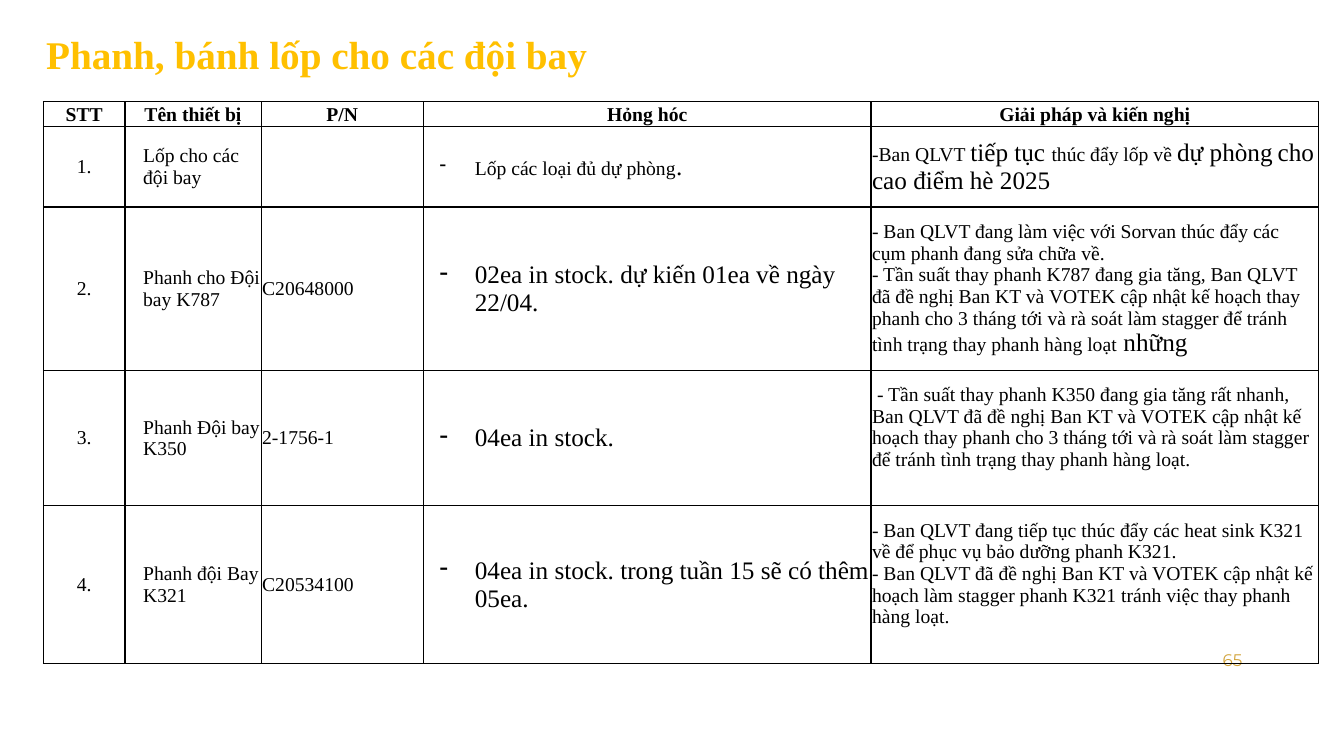
from pptx import Presentation
from pptx import util as u
from pptx.dml.color import RGBColor
from pptx.enum import text
from pptx.oxml import parse_xml
from pptx.oxml.ns import nsdecls

ALIGN = {"l": text.PP_ALIGN.LEFT, "c": text.PP_ALIGN.CENTER, "r": text.PP_ALIGN.RIGHT}
HEADS = ["STT", "Tên thiết bị", "P/N", "Hỏng hóc", "Giải pháp và kiến nghị"]
COLS = [0.81, 1.35, 1.61, 4.44, 4.44]
HIGHS = [0.22, 0.24, 0.8, 1.62, 1.34, 1.57]
ITEMS = [
    ["1.", "Lốp cho các đội bay", "", "Lốp các loại đủ dự phòng|.",
     "-Ban QLVT |tiếp tục |thúc đẩy lốp về |dự phòng| |cho cao điểm hè 2025"],
    ["2.", "Phanh cho Đội bay K787", "C20648000",
     "|02ea in stock. dự kiến 01ea về ngày 22/04.",
     "- Ban QLVT đang làm việc với Sorvan thúc đẩy các cụm phanh đang sửa chữa về.\n"
     "- Tần suất thay phanh K787 đang gia tăng, Ban QLVT đã đề nghị Ban KT và VOTEK "
     "cập nhật kế hoạch thay phanh cho 3 tháng tới và rà soát làm stagger để tránh "
     "tình trạng thay phanh hàng loạt| những"],
    ["3.", "Phanh Đội bay K350", "2-1756-1", "|04ea in stock.",
     "- Tần suất thay phanh K350 đang gia tăng rất nhanh, Ban QLVT đã đề nghị Ban KT "
     "và VOTEK cập nhật kế hoạch thay phanh cho 3 tháng tới và rà soát làm stagger "
     "để tránh tình trạng thay phanh hàng loạt."],
    ["4.", "Phanh đội Bay K321", "C20534100",
     "|04ea in stock. trong tuần 15 sẽ có thêm 05ea.",
     "- Ban QLVT đang tiếp tục thúc đẩy các heat sink K321 về để phục vụ bảo dưỡng "
     "phanh K321.\n"
     "- Ban QLVT đã đề nghị Ban KT và VOTEK cập nhật kế hoạch làm stagger phanh K321 "
     "tránh việc thay phanh hàng loạt."],
]


def color(code):
    return RGBColor.from_string(code)


class Deck:
    serif = "Times New Roman"
    black = "000000"

    def __init__(self):
        self.prs = Presentation()
        self.prs.slide_width = u.Inches(13.33)
        self.prs.slide_height = u.Inches(7.5)
        self.slide = self.prs.slides.add_slide(self.prs.slide_layouts[6])

    def style(self, run, size, code, bold=False, face=serif):
        font = run.font
        font.name, font.size, font.bold = face, u.Pt(size), bold
        font.color.rgb = color(code)

    def label(self, box, words, size, code, align="l", bold=False, face=serif, left=0):
        frame = self.slide.shapes.add_textbox(*map(u.Inches, box)).text_frame
        frame.word_wrap = True
        frame.vertical_anchor = text.MSO_ANCHOR.MIDDLE
        frame.text = words
        para = frame.paragraphs[0]
        para.alignment = ALIGN[align]
        self.indent(para, left)
        self.style(para.runs[0], size, code, bold, face)

    def indent(self, para, left, first=0):
        props = para._p.get_or_add_pPr()
        props.set("marL", str(u.Inches(left)))
        props.set("indent", str(u.Inches(first)))
        return props

    def border(self, cell, shown):
        props = cell._tc.get_or_add_tcPr()
        for side in "LRTB":
            paint = "<a:noFill/>"
            if side in shown:
                paint = f'<a:solidFill><a:srgbClr val="{self.black}"/></a:solidFill>'
            props.append(parse_xml(
                f'<a:ln{side} {nsdecls("a")} w="12700">{paint}</a:ln{side}>'))
        cell.fill.background()

    def fill(self, cell, words, align="l", bold=False, left=0, first=0, bullet=False):
        cell.vertical_anchor = text.MSO_ANCHOR.MIDDLE
        cell.margin_left = cell.margin_right = cell.margin_top = u.Inches(0.01)
        cell.margin_bottom = 0
        cell.text_frame.text = words.replace("|", "")
        for para, line in zip(cell.text_frame.paragraphs, words.split("\n")):
            para.alignment = ALIGN[align]
            props = self.indent(para, left, first)
            if bullet:
                props.append(parse_xml(f'<a:buChar {nsdecls("a")} char="-"/>'))
            para.text = ""
            if not line:
                para.font.size = u.Pt(10)
            for spot, part in enumerate(line.split("|")):
                if part:
                    run = para.add_run()
                    run.text = part
                    self.style(run, 18 if spot % 2 else 14, self.black, bold)

    def table(self, left, top):
        grid = self.slide.shapes.add_table(
            len(HIGHS), len(COLS), u.Inches(left), u.Inches(top),
            u.Inches(sum(COLS)), u.Inches(sum(HIGHS))).table
        grid.first_row = grid.horz_banding = False
        for col, wide in zip(grid.columns, COLS):
            col.width = u.Inches(wide)
        for row, high in zip(grid.rows, HIGHS):
            row.height = u.Inches(high)
        for spot, row in enumerate(grid.rows):
            for cell in row.cells:
                self.border(cell, "LRTB" if spot else "B")
        for cell in grid.rows[0].cells:
            self.fill(cell, "")
        grid.cell(0, 0).merge(grid.cell(0, len(COLS) - 1))
        for cell, head in zip(grid.rows[1].cells, HEADS):
            self.fill(cell, head, "c", True)
        looks = [{"align": "c"}, {"left": 0.17}, {},
                 {"left": 0.5, "first": -0.35, "bullet": True}, {}]
        for spot, item in enumerate(ITEMS, 2):
            for cell, words, look in zip(grid.rows[spot].cells, item, looks):
                self.fill(cell, words, **look)
        for spot in (4, 5):
            grid.cell(spot, 4).margin_bottom = u.Inches(0.22)
        self.indent(grid.cell(4, 4).text_frame.paragraphs[0], 0, 0.05)


def main():
    deck = Deck()
    deck.label((0.3, 0.14, 11.66, 0.78), "Phanh, bánh lốp cho các đội bay",
               28, "FFC000", bold=True, left=0.06)
    deck.label((9.42, 6.35, 3, 0.4), "65", 12, "D2A43B", "r", face="Montserrat")
    deck.table(0.43, 0.79)
    deck.prs.save("out.pptx")


if __name__ == "__main__":
    main()
